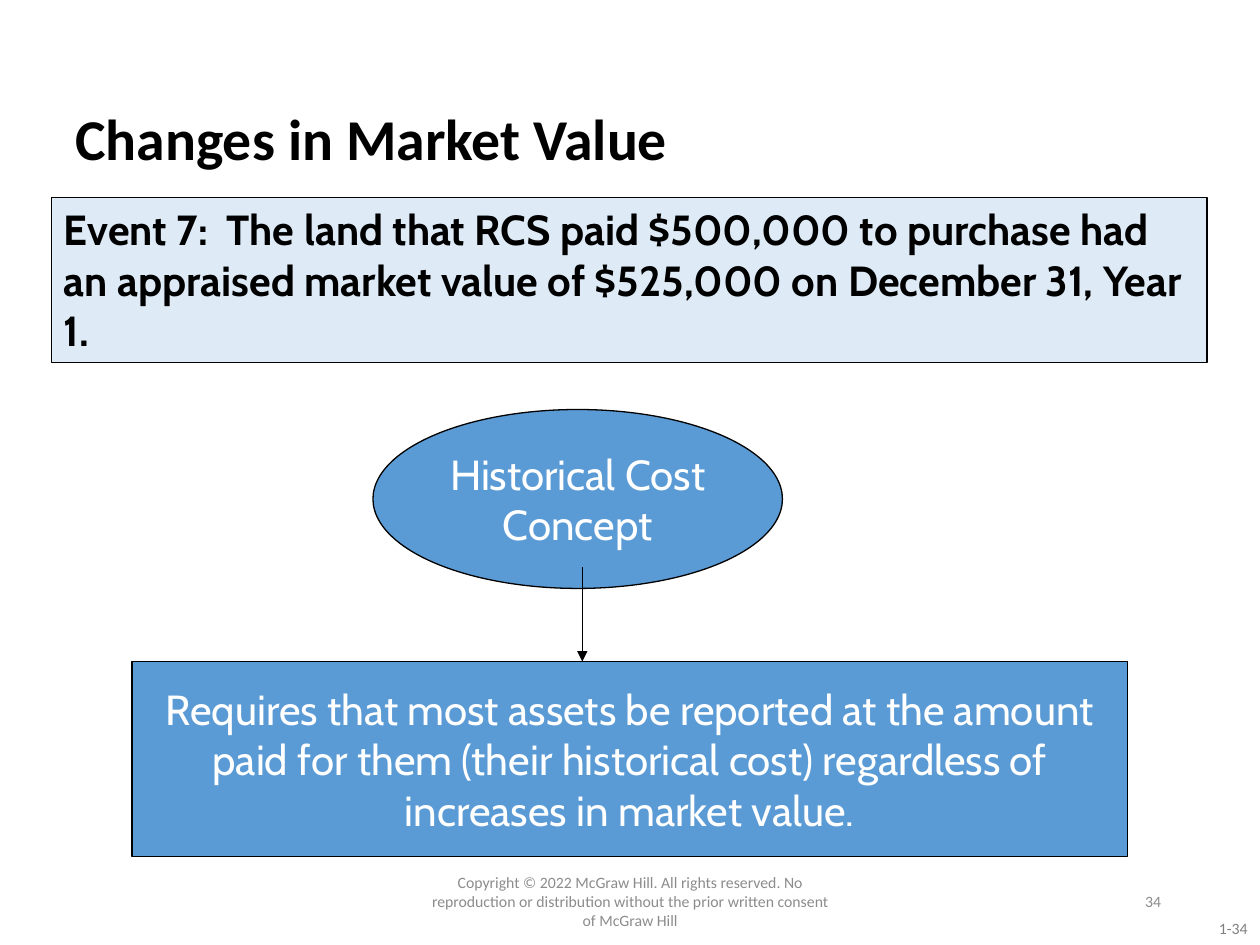
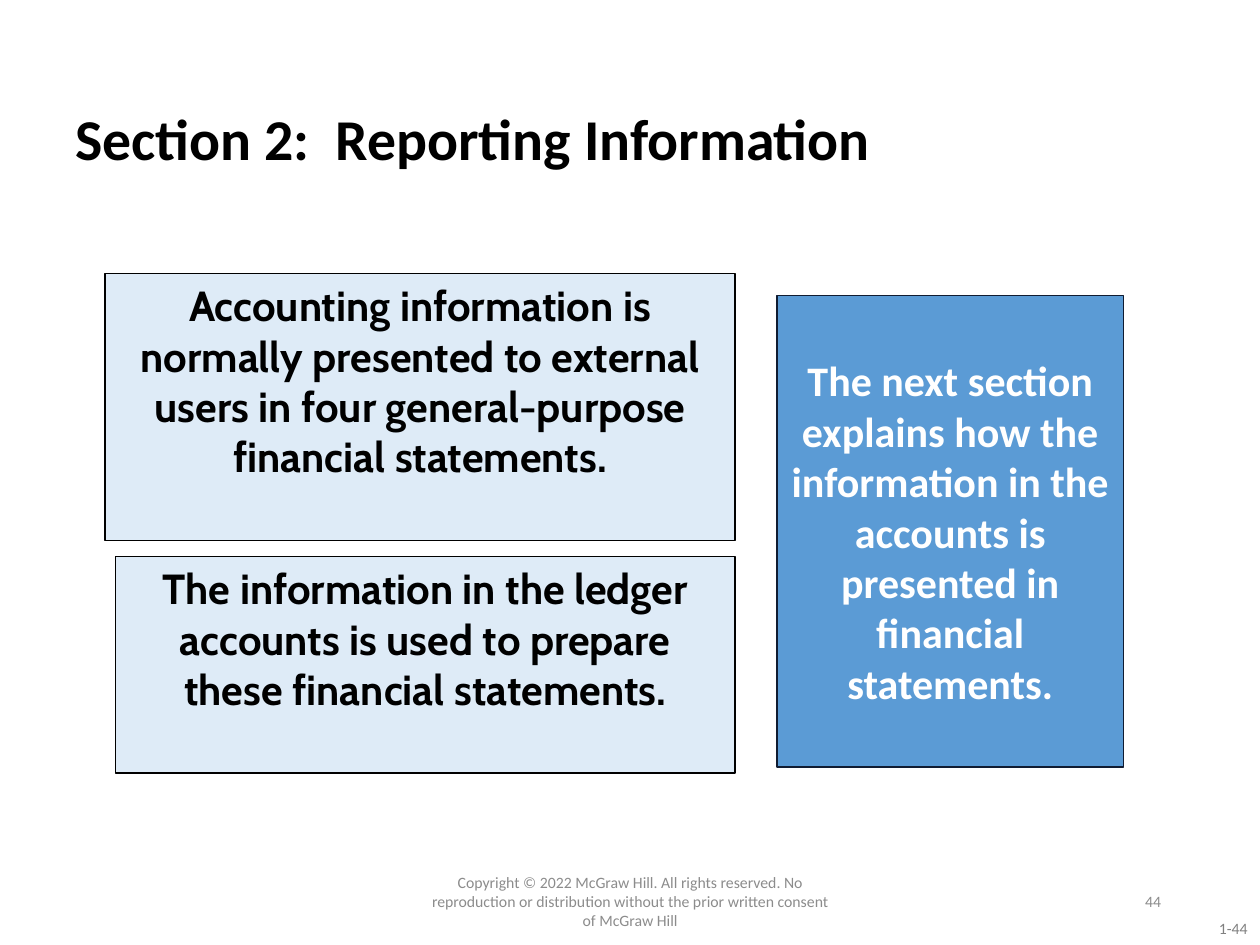
from lxml import etree
from pptx import Presentation
from pptx.dml.color import RGBColor
from pptx.enum.shapes import MSO_CONNECTOR as Link, MSO_SHAPE as Shape
from pptx.enum.text import MSO_ANCHOR as Anchor, PP_ALIGN as Align
from pptx.oxml.ns import qn
from pptx.util import Pt

BLACK = RGBColor(0x00, 0x00, 0x00)
WHITE = RGBColor(0xFF, 0xFF, 0xFF)
PALE_BLUE = RGBColor(0xDE, 0xEB, 0xF7)
BLUE = RGBColor(0x5B, 0x9B, 0xD5)
NAVY = RGBColor(0x10, 0x1C, 0x32)
FOOTER_GREY = RGBColor(0x8C, 0x8C, 0x8C)
NUMBER_GREY = RGBColor(0x80, 0x80, 0x80)

COPYRIGHT = ("Copyright © 2022 McGraw Hill. All rights reserved. No reproduction "
             "or distribution without the prior written consent of McGraw Hill")
CHAPTER = 1

TITLE = {"name": "Calibri", "size": Pt(33), "bold": True}
STATEMENT = {"name": "Cabin", "size": Pt(24), "bold": True}
CONCEPT = {"name": "Cabin", "size": Pt(24), "bold": False}
PREVIEW = {"name": "Calibri", "size": Pt(24), "bold": True}
FOOTER = {"name": "Calibri", "size": Pt(9), "bold": False}


class Deck:
    def __init__(self):
        self.show = Presentation()
        self.show.slide_width, self.show.slide_height = Pt(720), Pt(540)
        self.slide = None

    def start(self, title, number):
        self.slide = self.show.slides.add_slide(self.show.slide_layouts[6])
        self.label((632.9, 521.3, 87.1, 18), f"{CHAPTER}-{number}", FOOTER,
                   NUMBER_GREY, Align.RIGHT, Anchor.TOP)
        self.label((36, 59, 634.5, 43.5), title, TITLE, BLACK, Align.LEFT)
        self.label((238.5, 500.5, 243, 28.75), COPYRIGHT, FOOTER, FOOTER_GREY, Align.CENTER)
        self.label((508.5, 500.5, 162, 28.75), str(number), FOOTER, FOOTER_GREY, Align.RIGHT)

    def fill_text(self, holder, text, style, color, align, anchor):
        frame = holder.text_frame
        frame.word_wrap = True
        frame.vertical_anchor = anchor
        paragraph = frame.paragraphs[0]
        paragraph.alignment = align
        if style is TITLE:
            paragraph.line_spacing = 0.9
        run = paragraph.add_run()
        run.text = text
        for key, value in style.items():
            setattr(run.font, key, value)
        run.font.color.rgb = color

    def label(self, area, text, style, color, align, anchor=Anchor.MIDDLE):
        box = self.slide.shapes.add_textbox(*map(Pt, area))
        self.fill_text(box, text, style, color, align, anchor)

    def panel(self, area, text, style, kind=Shape.RECTANGLE, fill=BLUE, color=WHITE,
              border=BLACK, align=Align.CENTER, anchor=Anchor.MIDDLE):
        panel = self.slide.shapes.add_shape(kind, *map(Pt, area))
        panel.shadow.inherit = False
        panel.fill.solid()
        panel.fill.fore_color.rgb = fill
        panel.line.color.rgb = border
        panel.line.width = Pt(0.75)
        self.fill_text(panel, text, style, color, align, anchor)

    def statement(self, area, text, align=Align.CENTER):
        self.panel(area, text, STATEMENT, fill=PALE_BLUE, color=BLACK,
                   align=align, anchor=Anchor.TOP)

    def arrow(self, *ends):
        arrow = self.slide.shapes.add_connector(Link.STRAIGHT, *map(Pt, ends))
        arrow.line.color.rgb = BLACK
        arrow.line.width = Pt(0.5)
        outline = arrow._element.spPr.find(qn("a:ln"))
        etree.SubElement(outline, qn("a:tailEnd"), type="triangle")
        etree.SubElement(arrow._element.spPr, qn("a:effectLst"))


def market_value(deck):
    deck.start("Changes in Market Value", 34)
    deck.statement((29.5, 112.8, 660.25, 94.3),
                   "Event 7:  The land that RCS paid $500,000 to purchase had an appraised "
                   "market value of $525,000 on December 31, Year 1.", Align.LEFT)
    deck.panel((213.1, 234, 234, 102.25), "Historical Cost Concept", CONCEPT, Shape.OVAL)
    deck.panel((75.5, 378, 568.8, 111.5),
               "Requires that most assets be reported at the amount paid for them (their "
               "historical cost) regardless of increases in market value.", CONCEPT)
    deck.arrow(332.75, 324, 332.75, 378)


def reporting(deck):
    deck.start("Section 2:  Reporting Information", 44)
    deck.statement((60, 156.25, 360, 152.75),
                   "Accounting information is normally presented to external users in four "
                   "general-purpose financial statements.")
    deck.panel((444, 169, 198, 269.3),
               "The next section explains how the information in the accounts is presented "
               "in financial statements.", PREVIEW, border=NAVY)
    deck.statement((66, 318, 354, 123.8),
                   "The information in the ledger accounts is used to prepare these "
                   "financial statements.")


def main():
    deck = Deck()
    market_value(deck)
    reporting(deck)
    deck.show.save("out.pptx")


if __name__ == "__main__":
    main()
